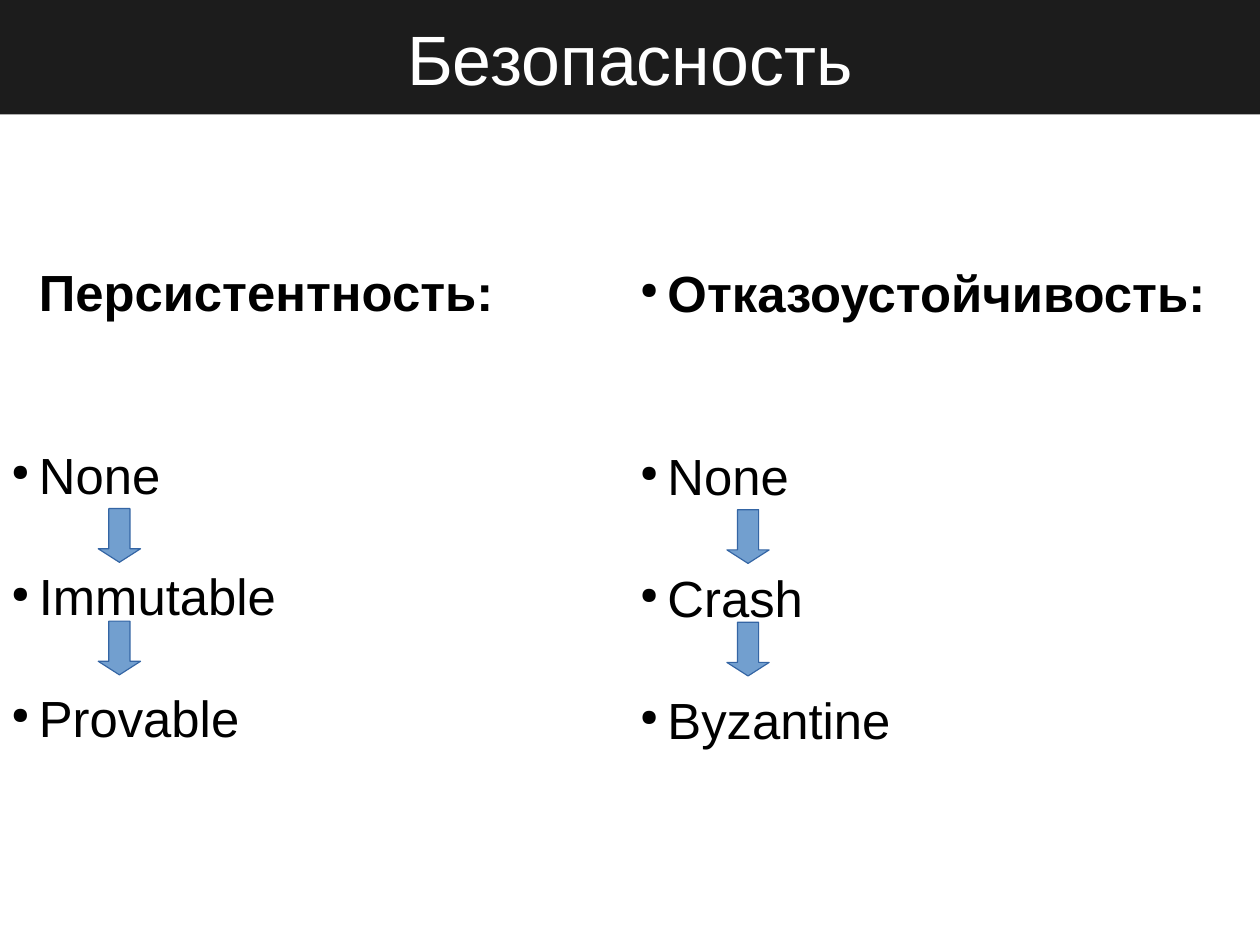
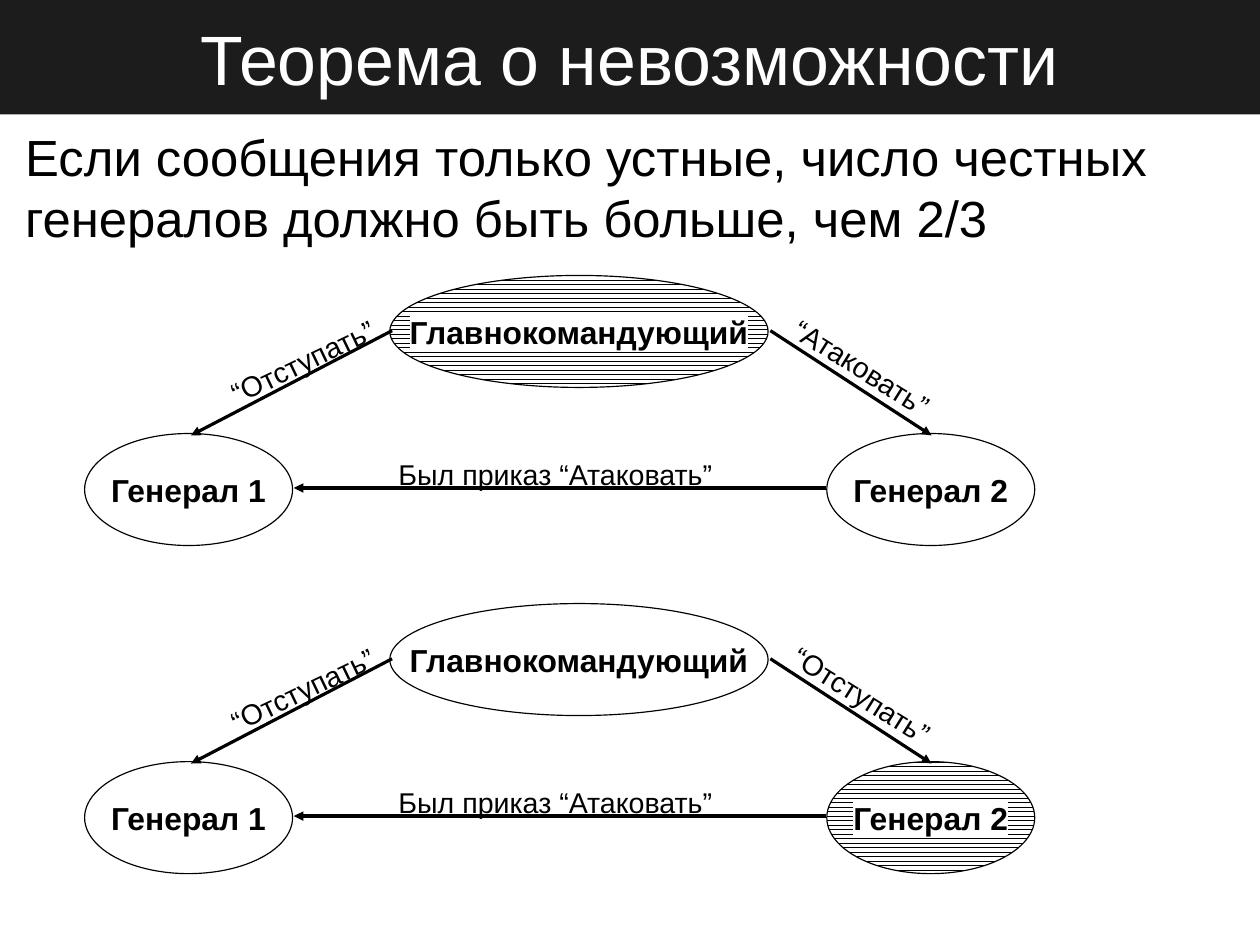
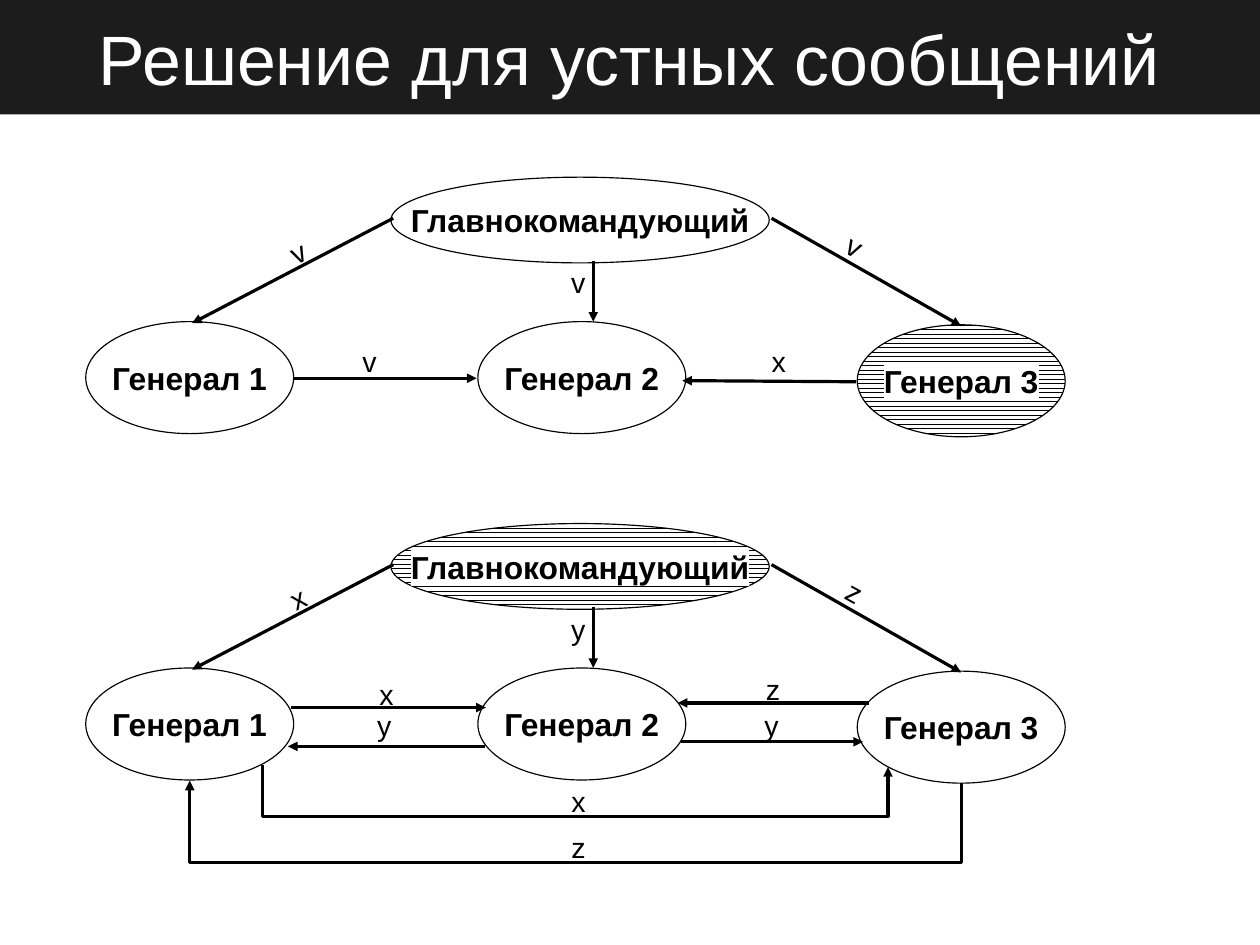
from lxml import etree
from pptx import Presentation
from pptx.dml.color import RGBColor
from pptx.enum.dml import MSO_PATTERN
from pptx.enum.shapes import MSO_CONNECTOR, MSO_SHAPE
from pptx.enum.text import MSO_ANCHOR, MSO_AUTO_SIZE, PP_ALIGN
from pptx.oxml.ns import qn
from pptx.util import Pt

BLACK = RGBColor(0x00, 0x00, 0x00)
WHITE = RGBColor(0xFF, 0xFF, 0xFF)
BAND = RGBColor(0x1C, 0x1C, 0x1C)
ARROW_FILL = RGBColor(0x72, 0x9F, 0xCF)
ARROW_LINE = RGBColor(0x34, 0x65, 0xA4)

LEFT, CENTER = PP_ALIGN.LEFT, PP_ALIGN.CENTER
TOP, MIDDLE = MSO_ANCHOR.TOP, MSO_ANCHOR.MIDDLE
NO_AUTOFIT = MSO_AUTO_SIZE.NONE
OVAL, DOWN_ARROW = MSO_SHAPE.OVAL, MSO_SHAPE.DOWN_ARROW
STRAIGHT, ELBOW = MSO_CONNECTOR.STRAIGHT, MSO_CONNECTOR.ELBOW
STRIPES = MSO_PATTERN.HORIZONTAL

FONT = "Arial"
TITLE_LAYOUT = 5
SLIDE_WIDTH, SLIDE_HEIGHT = 793.7, 595.3
BAND_HEIGHT = 72
BODY_LINE = 38.4
BULLET_INDENT = 17.28
LABEL_HEIGHT = 28
COMMANDER = "Главнокомандующий"
RISING, FALLING = 334.3, 32
GENERAL_SIZE = (131, 70.56)

TITLE_FONT = {"size": Pt(44), "name": FONT}
BODY_FONT = {"size": Pt(32), "name": FONT}
HEADING_FONT = {**BODY_FONT, "bold": True}
NODE_FONT = {"size": Pt(20), "name": FONT, "bold": True}
LABEL_FONT = {"size": Pt(18), "name": FONT}


def set_attributes(target, values):
    for name, value in values.items():
        setattr(target, name, value)


def points(*values):
    return [Pt(value) for value in values]


def setup_frame(shape, anchor, wrap=True):
    frame = shape.text_frame
    set_attributes(frame, {
        "margin_left": 0, "margin_right": 0, "margin_top": 0, "margin_bottom": 0,
        "auto_size": NO_AUTOFIT, "word_wrap": wrap, "vertical_anchor": anchor,
    })
    return frame


def write(paragraph, text, font, color=BLACK, alignment=LEFT):
    paragraph.alignment = alignment
    run = paragraph.add_run()
    run.text = text
    set_attributes(run.font, font)
    run.font.color.rgb = color
    return run


def set_line(shape, color):
    shape.line.color.rgb = color
    shape.line.width = Pt(0)


def add_titled_slide(presentation, text):
    slide = presentation.slides.add_slide(presentation.slide_layouts[TITLE_LAYOUT])
    title = slide.shapes.title
    set_attributes(title, dict(zip(
        ("left", "top", "width", "height"), points(0, 0, SLIDE_WIDTH, BAND_HEIGHT))))
    title.fill.solid()
    title.fill.fore_color.rgb = BAND
    frame = setup_frame(title, MIDDLE)
    write(frame.paragraphs[0], text, TITLE_FONT, WHITE, CENTER)
    return slide


def add_bullet(paragraph):
    properties = paragraph._p.get_or_add_pPr()
    properties.set("indent", str(-Pt(BULLET_INDENT)))
    color = etree.SubElement(properties, qn("a:buClr"))
    etree.SubElement(color, qn("a:srgbClr"), val=str(BLACK))
    etree.SubElement(properties, qn("a:buSzPct"), val="45000")
    etree.SubElement(properties, qn("a:buChar"), char="●")


def add_level_column(slide, x, y, width, heading, levels, bulleted_heading):
    box = slide.shapes.add_textbox(*points(x, y, width, 8 * BODY_LINE))
    frame = setup_frame(box, TOP)
    for index, text in enumerate([heading, *levels]):
        paragraph = frame.paragraphs[0] if index == 0 else frame.add_paragraph()
        paragraph.line_spacing = Pt(BODY_LINE)
        paragraph.space_before = Pt((0, 2, 1, 1)[index] * BODY_LINE)
        paragraph._p.get_or_add_pPr().set("marL", str(Pt(BULLET_INDENT)))
        if index or bulleted_heading:
            add_bullet(paragraph)
        write(paragraph, text, BODY_FONT if index else HEADING_FONT)
    for offset in (156.4, 227.3):
        arrow = slide.shapes.add_shape(
            DOWN_ARROW, *points(x + 54.7, y + offset, 26.64, 33.84))
        arrow.adjustments[1] = 0.32
        arrow.shadow.inherit = False
        arrow.fill.solid()
        arrow.fill.fore_color.rgb = ARROW_FILL
        set_line(arrow, ARROW_LINE)


def add_statement(slide, x, y, width, text):
    box = slide.shapes.add_textbox(*points(x, y, width, 2 * BODY_LINE))
    paragraph = setup_frame(box, TOP).paragraphs[0]
    paragraph.line_spacing = Pt(BODY_LINE)
    write(paragraph, text, BODY_FONT)


def add_node(slide, x, y, size, text, traitor):
    node = slide.shapes.add_shape(OVAL, *points(x, y, *size))
    node.shadow.inherit = False
    if traitor:
        node.fill.patterned()
        node.fill.pattern = STRIPES
        node.fill.fore_color.rgb = BLACK
        node.fill.back_color.rgb = WHITE
    else:
        node.fill.background()
    set_line(node, BLACK)
    frame = setup_frame(node, MIDDLE, wrap=False)
    run = write(frame.paragraphs[0], text, NODE_FONT, alignment=CENTER)
    highlight = etree.Element(qn("a:highlight"))
    etree.SubElement(highlight, qn("a:srgbClr"), val=str(WHITE))
    run._r.rPr.find(qn("a:solidFill")).addnext(highlight)


def add_label(slide, center_x, center_y, text, rotation=0):
    width = 10 * len(text) + 16
    box = slide.shapes.add_textbox(*points(
        center_x - width / 2, center_y - LABEL_HEIGHT / 2, width, LABEL_HEIGHT))
    box.rotation = rotation
    frame = setup_frame(box, MIDDLE, wrap=False)
    write(frame.paragraphs[0], text, LABEL_FONT, alignment=CENTER)


def finish_arrow(connector):
    set_line(connector, BLACK)
    properties = connector._element.spPr
    etree.SubElement(properties.find(qn("a:ln")), qn("a:tailEnd"), type="triangle")
    etree.SubElement(properties, qn("a:effectLst"))


def add_arrow(slide, x, y, start, end):
    finish_arrow(slide.shapes.add_connector(STRAIGHT, *points(
        x + start[0], y + start[1], x + end[0], y + end[1])))


def add_detour(slide, x, y, start, end, lowest):
    across, rise = end[0] - start[0], end[1] - start[1]
    width, height = abs(rise), abs(across)
    left = x + (start[0] + end[0] - width) / 2
    top = y + (start[1] + end[1] - height) / 2
    connector = slide.shapes.add_connector(
        ELBOW, *points(left, top, left + width, top + height))
    properties = connector._element.spPr
    transform = properties.find(qn("a:xfrm"))
    transform.set("rot", str(270 * 60000))
    transform.set("flipH", str(int(rise > 0)))
    transform.set("flipV", str(int(across < 0)))
    geometry = properties.find(qn("a:prstGeom"))
    guides = geometry.find(qn("a:avLst"))
    if guides is None:
        guides = etree.SubElement(geometry, qn("a:avLst"))
    ratio = round((lowest - start[1]) / rise * 100000)
    etree.SubElement(guides, qn("a:gd"), name="adj1", fmla=f"val {ratio}")
    finish_arrow(connector)


def add_scene(slide, x, y, nodes, arrows, labels, traitor):
    for node_x, node_y, size, text in nodes:
        add_node(slide, x + node_x, y + node_y, size, text, text == traitor)
    for start, end in arrows:
        add_arrow(slide, x, y, start, end)
    for label_x, label_y, *content in labels:
        add_label(slide, x + label_x, y + label_y, *content)


def add_two_generals(slide, x, y, right_order, traitor):
    nodes = [
        (192.24, 0, (238.32, 70.56), COMMANDER),
        (0, 99.6, GENERAL_SIZE, "Генерал 1"),
        (467.5, 99.6, GENERAL_SIZE, "Генерал 2"),
    ]
    arrows = [
        ((432, 34.8), (533.5, 100.8)),
        ((193.7, 34.8), (67, 100.8)),
        ((467.3, 133.9), (131.8, 133.9)),
    ]
    labels = [
        (489.6, 57.6, right_order, FALLING),
        (137.2, 54, "“Отступать”", RISING),
        (296.6, 125.3, "Был приказ “Атаковать”"),
    ]
    add_scene(slide, x, y, nodes, arrows, labels, traitor)


def add_three_generals(slide, x, y, orders, peer_arrows, peer_labels, traitor):
    nodes = [
        (192.24, 0, (238.32, 54), COMMANDER),
        (0, 91, GENERAL_SIZE, "Генерал 1"),
        (247, 91, GENERAL_SIZE, "Генерал 2"),
        (486, 93, GENERAL_SIZE, "Генерал 3"),
    ]
    arrows = [
        ((193.7, 25.9), (67, 92)),
        ((319.7, 52.6), (319.7, 91)),
        ((432, 25.9), (551.5, 93.8)),
    ]
    labels = [
        (133.5, 47.2, orders[0], RISING),
        (310.3, 66.2, orders[1]),
        (484.5, 43.2, orders[2], 28.6),
    ]
    add_scene(slide, x, y, nodes, arrows + peer_arrows, labels + peer_labels, traitor)


def build_safety(presentation):
    slide = add_titled_slide(presentation, "Безопасность")
    add_level_column(slide, 7.2, 164, 340, "Персистентность:",
                     ["None", "Immutable", "Provable"], False)
    add_level_column(slide, 403.2, 164.7, 380, "Отказоустойчивость:",
                     ["None", "Crash", "Byzantine"], True)


def build_impossibility(presentation):
    slide = add_titled_slide(presentation, "Теорема о невозможности")
    add_statement(slide, 15.84, 79, 763,
                  "Если сообщения только устные, число честных генералов "
                  "должно быть больше, чем 2/3")
    add_two_generals(slide, 53.3, 173.5, "“Атаковать”", COMMANDER)
    add_two_generals(slide, 53.3, 380.2, "“Отступать”", "Генерал 2")


def build_oral_solution(presentation):
    slide = add_titled_slide(presentation, "Решение для устных сообщений")
    add_three_generals(
        slide, 54, 111.6, "vvv",
        [((130.3, 126.7), (246.2, 126.7)), ((485.3, 128.9), (375.8, 128.2))],
        [(178.7, 115.9, "v"), (436.5, 115.9, "x")],
        "Генерал 3")
    x, y = 54, 329.8
    add_three_generals(
        slide, x, y, "xyz",
        [((129.6, 115.9), (252, 115.9)), ((251.3, 140.4), (127.4, 140.4)),
         ((493.2, 113), (373, 113)), ((375.1, 137.5), (489.6, 137.5))],
        [(189.5, 107.3, "x"), (188, 126.7, "y"), (433, 104.4, "z"),
         (432, 126.7, "y"), (310.5, 175, "x"), (310.5, 203.8, "z")],
        COMMANDER)
    add_detour(slide, x, y, (111.6, 151.9), (505.4, 153.4), 184.3)
    add_detour(slide, x, y, (551.5, 163.4), (65.5, 162), 213.8)


def main():
    presentation = Presentation()
    presentation.slide_width = Pt(SLIDE_WIDTH)
    presentation.slide_height = Pt(SLIDE_HEIGHT)
    build_safety(presentation)
    build_impossibility(presentation)
    build_oral_solution(presentation)
    presentation.save("out.pptx")


if __name__ == "__main__":
    main()
